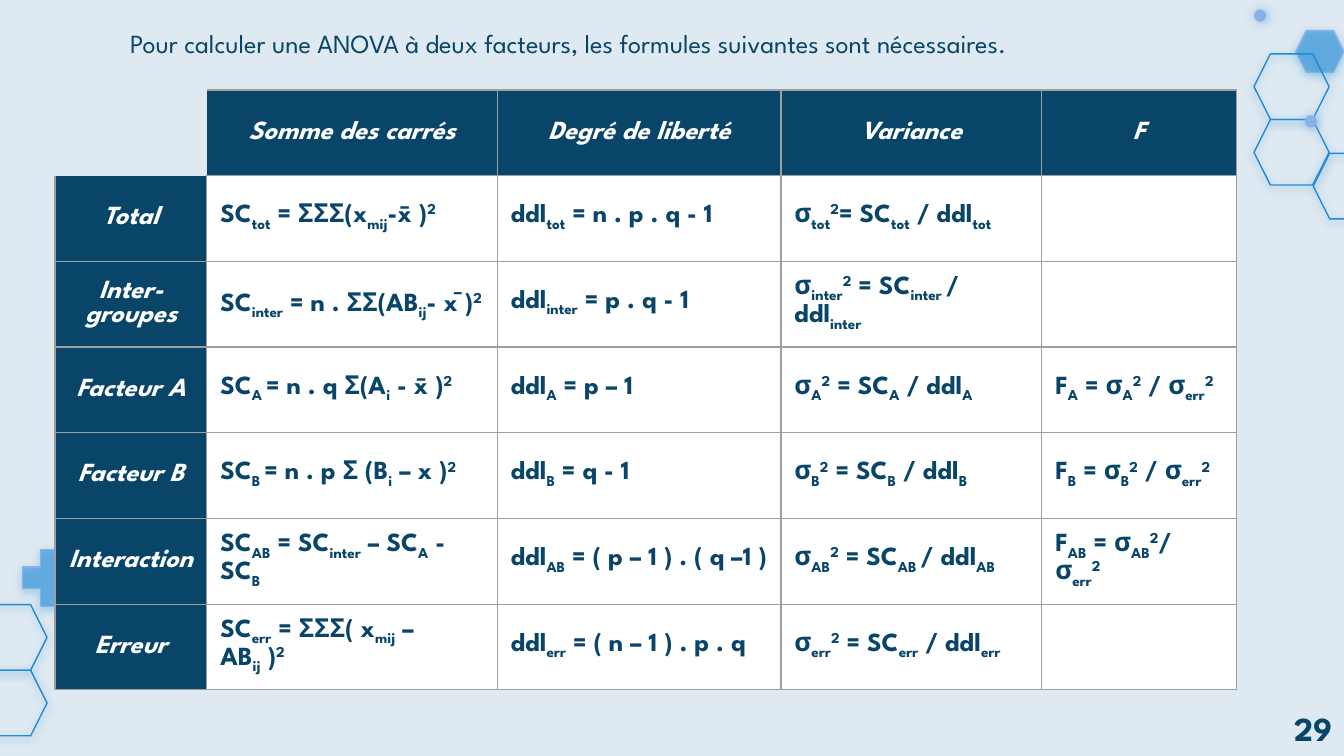
"""Build the slide of two-factor ANOVA formulas."""
from dataclasses import dataclass
from typing import Optional

from lxml.etree import SubElement
from pptx import Presentation
from pptx.dml.color import RGBColor
from pptx.enum.shapes import MSO_SHAPE
from pptx.enum.text import MSO_ANCHOR, PP_ALIGN
from pptx.oxml.ns import qn
from pptx.util import Cm, Pt

NAVY, BLUE, PALE, WHITE, GREY = "084569", "1F8AD7", "84B3E8", "FFFFFF", "9E9E9E"
FONT = "League Spartan"
BODY = {"name": FONT, "size": Pt(14)}
FORMULA = {**BODY, "bold": True}
HEADING = {**FORMULA, "italic": True}
BASELINES = {"_": "-25000", "^": "30000"}
COLUMN_WIDTHS = (2.87, 5.49, 5.36, 4.93, 3.68)
ROW_HEIGHT = 1.62


@dataclass(frozen=True)
class Shadow:
    colour: str
    alpha: int
    blur: float
    distance: float
    angle: int


@dataclass(frozen=True)
class Ornament:
    kind: MSO_SHAPE
    left: float
    top: float
    width: float
    height: float
    shadow: Shadow
    fill: Optional[str] = None
    alpha: int = 100
    line: Optional[str] = None
    adjustment: Optional[float] = None


SOFT = Shadow(BLUE, 50, 4.5, 1.5, 90)
GLOW = Shadow(PALE, 100, 5.6, 0.8, 11)


def outline_hexagon(left: float, top: float) -> Ornament:
    """Describe one empty hexagon."""
    return Ornament(MSO_SHAPE.HEXAGON, left, top, 1.42, 1.24, SOFT, line=BLUE)


def dot(left: float, top: float) -> Ornament:
    """Describe one small dot."""
    return Ornament(MSO_SHAPE.OVAL, left, top, 0.23, 0.23, GLOW, fill=PALE)


ORNAMENTS = (
    outline_hexagon(23.7, 2.26),
    outline_hexagon(24.82, 2.9),
    Ornament(MSO_SHAPE.HEXAGON, 24.49, 0.58, 0.91, 0.79, SOFT, BLUE, 53, PALE),
    outline_hexagon(23.7, 1.02),
    outline_hexagon(-0.53, 12.67),
    outline_hexagon(-0.53, 11.43),
    dot(24.66, 2.18),
    dot(23.7, 0.18),
    Ornament(MSO_SHAPE.CROSS, 0.43, 10.39, 1.07, 1.07, SOFT, BLUE, 53, PALE, 0.31),
)

ANOVA_ROWS = (
    ("", "Somme des carrés", "Degré de liberté", "Variance", "F"),
    ("Total", "SC[_tot] = ΣΣΣ(x[_mij]-x̄ )[^2]", "ddl[_tot] = n . p . q - 1",
     "σ[_tot][^2]= SC[_tot] / ddl[_tot]", ""),
    ("Inter-groupes", "SC[_inter] = n . ΣΣ(AB[_ij]- x[~̄] )[^2]",
     "ddl[_inter] = p . q - 1",
     "σ[_inter][^2] = SC[_inter ]/ ddl[_inter]", ""),
    ("Facteur A", "SC[_A ]= n . q Σ(A[_i] - x̄ )[^2]", "ddl[_A] = p – 1",
     "σ[_A][^2] = SC[_A] / ddl[_A]", "F[_A] = σ[_A][^2] / σ[_err][^2]"),
    ("Facteur B", "SC[_B ]= n . p Σ (B[_i] – x )[^2]", "ddl[_B] = q - 1",
     "σ[_B][^2] = SC[_B] / ddl[_B]", "F[_B] = σ[_B][^2] / σ[_err][^2]"),
    ("Interaction", "SC[_AB] = SC[_inter] – SC[_A] - SC[_B]",
     "ddl[_AB] = ( p – 1 ) . ( q –1 )",
     "σ[_AB][^2] = SC[_AB ]/ ddl[_AB]", "F[_AB] = σ[_AB][^2]/ σ[_err][^2]"),
    ("Erreur", "SC[_err] = ΣΣΣ( x[_mij] – AB[_ij] )[^2]",
     "ddl[_err] = ( n – 1 ) . p . q",
     "σ[_err][^2] = SC[_err] / ddl[_err]", ""),
)


def rgb(value: str) -> RGBColor:
    """Turn a hex string into a colour."""
    return RGBColor.from_string(value)


def paint(fill, colour: Optional[str]) -> None:
    """Fill with a solid colour, or with nothing."""
    if colour is None:
        fill.background()
    else:
        fill.solid()
        fill.fore_color.rgb = rgb(colour)


def add_colour(parent, colour: str, alpha: int = 100) -> None:
    """Append a colour element with its opacity in percent."""
    element = SubElement(parent, qn("a:srgbClr"), val=colour)
    if alpha < 100:
        SubElement(element, qn("a:alpha"), val=str(alpha * 1000))


def draw_ornament(slide, ornament: Ornament) -> None:
    """Draw one decorative shape with its shadow."""
    shape = slide.shapes.add_shape(
        ornament.kind, Cm(ornament.left), Cm(ornament.top),
        Cm(ornament.width), Cm(ornament.height))
    if ornament.adjustment is not None:
        shape.adjustments[0] = ornament.adjustment
    paint(shape.fill, ornament.fill)
    if ornament.alpha < 100:
        solid = shape._element.spPr.find(qn("a:solidFill"))
        solid.clear()
        add_colour(solid, ornament.fill, ornament.alpha)
    paint(shape.line.fill, ornament.line)
    if ornament.line:
        shape.line.width = Pt(0.75)
    shape.shadow.inherit = False
    shadow = ornament.shadow
    outer = SubElement(
        shape._element.spPr.find(qn("a:effectLst")), qn("a:outerShdw"),
        blurRad=str(Pt(shadow.blur)), dist=str(Pt(shadow.distance)),
        dir=str(shadow.angle * 60000), algn="bl", rotWithShape="0")
    add_colour(outer, shadow.colour, shadow.alpha)


def write(paragraph, markup: str, formats: dict, colour: str) -> None:
    """Write text where [_x] is lowered, [^x] raised and [~x] set in Arial."""
    pieces = markup.replace("]", "[").split("[")
    for index, piece in enumerate(pieces):
        if not piece:
            continue
        mark, text = (piece[0], piece[1:]) if index % 2 else ("", piece)
        run = paragraph.add_run()
        run.text = text
        for attribute, value in formats.items():
            setattr(run.font, attribute, value)
        run.font.color.rgb = rgb(colour)
        if mark == "~":
            run.font.name = "Arial"
        elif mark:
            run._r.get_or_add_rPr().set("baseline", BASELINES[mark])


def add_label(slide, left: float, top: float, width: float, height: float,
              text: str, formats: dict):
    """Add a wrapped line of navy text and return its box."""
    label = slide.shapes.add_textbox(Cm(left), Cm(top), Cm(width), Cm(height))
    label.text_frame.word_wrap = True
    write(label.text_frame.paragraphs[0], text, formats, NAVY)
    return label


def set_borders(cell, hidden: str) -> None:
    """Give a cell grey borders except on the hidden sides."""
    properties = cell._tc.get_or_add_tcPr()
    for side in "LRTB":
        border = SubElement(properties, qn(f"a:ln{side}"), w=str(Pt(0.75)))
        if side in hidden:
            SubElement(border, qn("a:noFill"))
        else:
            add_colour(SubElement(border, qn("a:solidFill")), GREY)


def draw_table(slide) -> None:
    """Draw the table of ANOVA formulas."""
    table = slide.shapes.add_table(
        len(ANOVA_ROWS), len(COLUMN_WIDTHS), Cm(1.04), Cm(1.7),
        Cm(sum(COLUMN_WIDTHS)), Cm(ROW_HEIGHT * len(ANOVA_ROWS))).table
    table.first_row = table.horz_banding = False
    for column, width in zip(table.columns, COLUMN_WIDTHS):
        column.width = Cm(width)
    hidden_sides = {(0, 0): "LRTB", (0, 1): "L", (1, 0): "T"}
    for row, formulas in enumerate(ANOVA_ROWS):
        table.rows[row].height = Cm(ROW_HEIGHT)
        for column, formula in enumerate(formulas):
            cell = table.cell(row, column)
            heading = row == 0 or column == 0
            set_borders(cell, hidden_sides.get((row, column), ""))
            background = NAVY if heading else WHITE
            paint(cell.fill, background if row + column else None)
            cell.vertical_anchor = MSO_ANCHOR.MIDDLE
            paragraph = cell.text_frame.paragraphs[0]
            paragraph.alignment = PP_ALIGN.CENTER if heading else PP_ALIGN.LEFT
            write(paragraph, formula, HEADING if heading else FORMULA,
                  WHITE if heading else NAVY)


def main() -> None:
    """Build and save the presentation."""
    presentation = Presentation()
    presentation.slide_width, presentation.slide_height = Cm(25.4), Cm(14.29)
    slide = presentation.slides.add_slide(presentation.slide_layouts[6])
    paint(slide.background.fill, "DEE9F1")
    for ornament in ORNAMENTS:
        draw_ornament(slide, ornament)
    introduction = add_label(
        slide, 2.21, 0.18, 19.63, 0.91,
        "Pour calculer une ANOVA à deux facteurs, les formules suivantes sont nécessaires.",
        BODY)
    introduction.text_frame.margin_top = Cm(0.25)
    introduction.text_frame.paragraphs[0].line_spacing = 1.15
    draw_table(slide)
    add_label(slide, 24.21, 13.26, 1.6, 1.02, "29", {**FORMULA, "size": Pt(18)})
    presentation.save("out.pptx")


if __name__ == "__main__":
    main()
